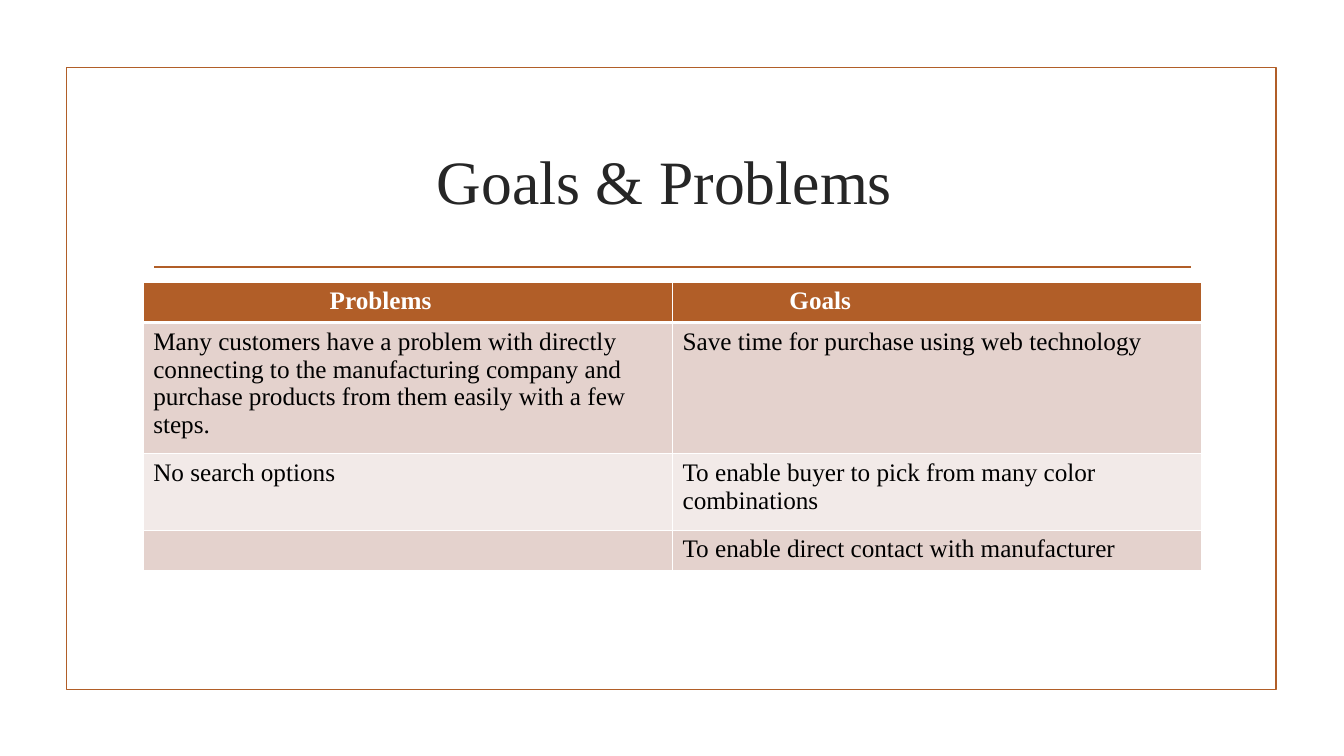
"""Builds the Goals & Problems slide: a framed title above a two-column table."""
from dataclasses import dataclass

from lxml.etree import SubElement
from pptx import Presentation
from pptx.dml.color import RGBColor
from pptx.enum.shapes import MSO_CONNECTOR as Connector, MSO_SHAPE as Shape
from pptx.enum.text import MSO_ANCHOR as Anchor, PP_ALIGN as Align
from pptx.oxml import parse_xml
from pptx.oxml.ns import nsdecls, qn
from pptx.util import Inches, Pt

TITLE = "Goals & Problems "
HEADINGS = [("Problems", 1.75), ("Goals", 1.06)]
ENTRIES = [
    ("Many customers have a problem with directly connecting to the manufacturing "
     "company and purchase products from them easily with a few steps.",
     "Save time for purchase using web technology"),
    ("No search options", "To enable buyer to pick from many color combinations"),
    ("", "To enable direct contact with manufacturer"),
]
ROW_HEIGHTS = [0.37, 1.21, 0.76, 0.37]
LEFT, WIDTH = 1.42, 10.5


@dataclass(frozen=True)
class Theme:
    font: str = "Times New Roman"
    accent: str = "B15E28"
    title: str = "262626"
    heading: str = "FFFFFF"
    body: str = "000000"
    grid: str = "FFFFFF"
    bands: tuple = ("E4D2CD", "F2EAE8")
    title_size: int = 44
    body_size: int = 18
    rule: float = 1.25
    thin: int = 1
    thick: int = 3


THEME = Theme()


def rgb(code):
    return RGBColor.from_string(code)


def style(paragraph, size, color, bold=False):
    for target in (paragraph, *paragraph.runs):
        target.font.name = THEME.font
        target.font.size = Pt(size)
        target.font.bold = bold
        target.font.color.rgb = rgb(color)


def rule_line(line):
    line.color.rgb = rgb(THEME.accent)
    line.width = Pt(THEME.rule)


def add_frame(slide):
    frame = slide.shapes.add_shape(
        Shape.RECTANGLE, Inches(0.66), Inches(0.67), Inches(12), Inches(6.17))
    frame.shadow.inherit = False
    frame.fill.background()
    rule_line(frame.line)
    divider = slide.shapes.add_connector(
        Connector.STRAIGHT, Inches(1.53), Inches(2.65), Inches(11.81), Inches(2.65))
    rule_line(divider.line)
    SubElement(divider._element.spPr, qn("a:effectLst"))


def add_title(slide):
    title = slide.shapes.add_textbox(
        Inches(LEFT), Inches(1.07), Inches(WIDTH), Inches(1.43)).text_frame
    title.word_wrap = True
    title.vertical_anchor = Anchor.MIDDLE
    title.text = TITLE
    title.paragraphs[0].alignment = Align.CENTER
    style(title.paragraphs[0], THEME.title_size, THEME.title)


def add_borders(cell, row):
    widths = {"L": THEME.thin, "R": THEME.thin,
              "T": THEME.thick if row == 1 else THEME.thin,
              "B": THEME.thick if row == 0 else THEME.thin}
    properties = cell._tc.get_or_add_tcPr()
    for place, (side, width) in enumerate(widths.items()):
        properties.insert(place, parse_xml(
            f'<a:ln{side} {nsdecls("a")} w="{Pt(width)}"><a:solidFill>'
            f'<a:srgbClr val="{THEME.grid}"/></a:solidFill></a:ln{side}>'))


def add_table(slide):
    rows = [[heading for heading, _ in HEADINGS], *ENTRIES]
    table = slide.shapes.add_table(
        len(rows), len(HEADINGS), Inches(LEFT), Inches(2.8),
        Inches(WIDTH), Inches(sum(ROW_HEIGHTS))).table
    for row, (texts, height) in enumerate(zip(rows, ROW_HEIGHTS)):
        table.rows[row].height = Inches(height)
        header = row == 0
        fill = THEME.accent if header else THEME.bands[(row - 1) % 2]
        for column, text in enumerate(texts):
            cell = table.cell(row, column)
            cell.text_frame.text = text
            paragraph = cell.text_frame.paragraphs[0]
            style(paragraph, THEME.body_size,
                  THEME.heading if header else THEME.body, header)
            if header:
                indent = Inches(HEADINGS[column][1])
                paragraph._p.get_or_add_pPr().set("marL", str(indent))
            cell.fill.solid()
            cell.fill.fore_color.rgb = rgb(fill)
            add_borders(cell, row)


def main():
    deck = Presentation()
    deck.slide_width, deck.slide_height = Inches(13.33), Inches(7.5)
    slide = deck.slides.add_slide(deck.slide_layouts[6])
    add_frame(slide)
    add_title(slide)
    add_table(slide)
    deck.save("out.pptx")


if __name__ == "__main__":
    main()
